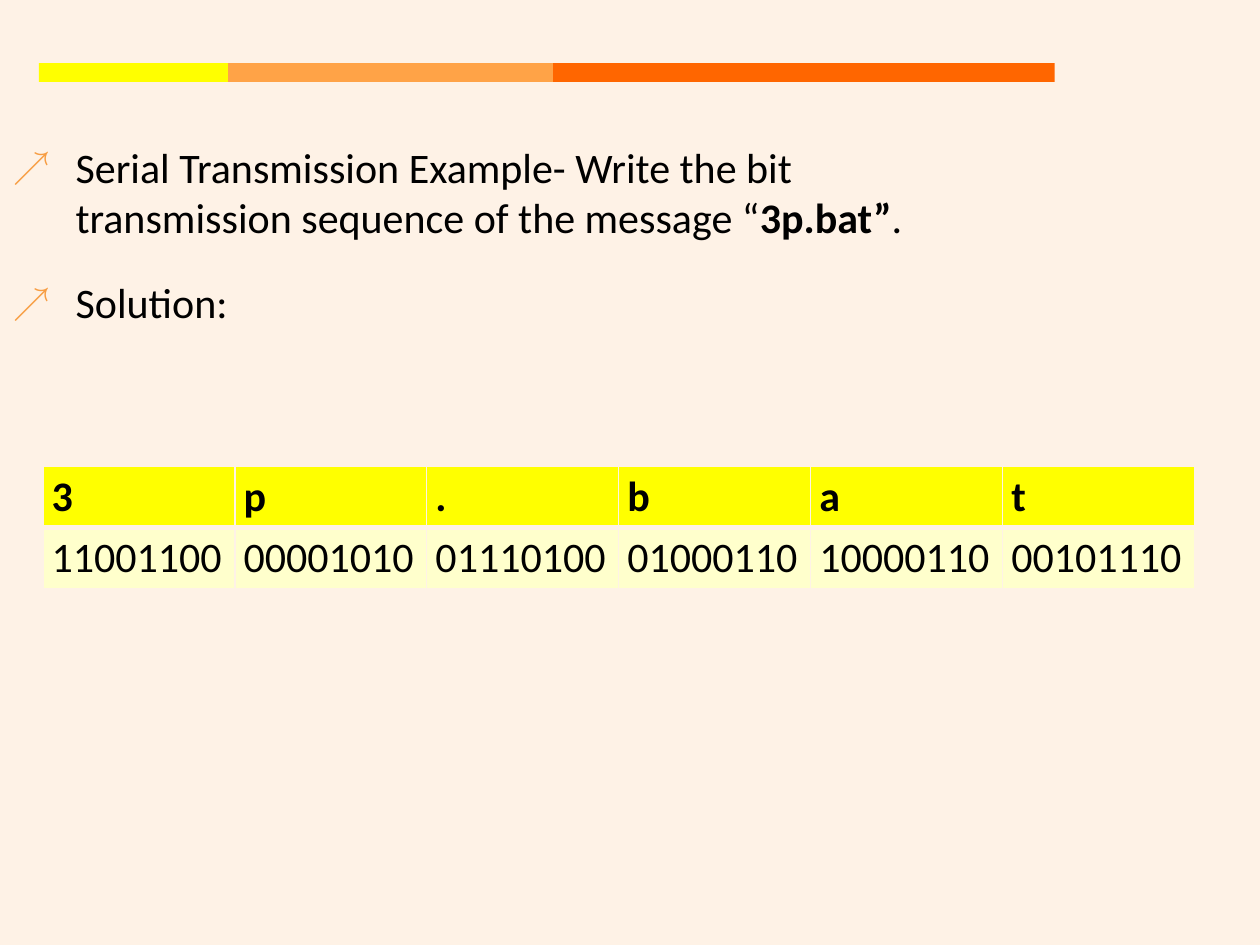
from dataclasses import dataclass

from lxml import etree
from pptx import Presentation
from pptx import util as u
from pptx.dml.color import RGBColor
from pptx.enum import shapes, text
from pptx.oxml.ns import qn


@dataclass(frozen=True)
class Theme:
    font: str = "Calibri"
    size: int = 24
    paragraph_gap: int = 20
    ink: str = "000000"
    background: str = "FEF2E6"
    bullet: str = "F79D43"
    yellow: str = "FFFF00"
    light_orange: str = "FFA347"
    orange: str = "FF6600"
    pale_yellow: str = "FFFFCC"


def paint(fill, color):
    fill.solid()
    fill.fore_color.rgb = RGBColor.from_string(color)


def add_text(paragraph, words, *, font, size, color, bold=False):
    run = paragraph.add_run()
    run.text = words
    run.font.name = font
    run.font.size = u.Pt(size)
    run.font.bold = bold
    run.font.color.rgb = RGBColor.from_string(color)


def add_xml_color(parent, color):
    etree.SubElement(parent, qn("a:srgbClr"), val=color)


class SlideBuilder:
    def __init__(self, slide, theme):
        self.slide = slide
        self.theme = theme
        paint(slide.background.fill, theme.background)

    def words(self, paragraph, content, bold=False):
        t = self.theme
        add_text(paragraph, content, font=t.font, size=t.size, color=t.ink, bold=bold)

    def band(self, left, top, width, height, color):
        block = self.slide.shapes.add_shape(
            shapes.MSO_SHAPE.RECTANGLE,
            *map(u.Inches, (left, top, width, height)))
        block.shadow.inherit = False
        paint(block.fill, color)
        block.line.fill.background()

    def bullet(self, paragraph):
        props = paragraph._p.get_or_add_pPr()
        props.set("marL", str(u.Inches(0.5)))
        props.set("indent", str(u.Inches(-0.5)))
        add_xml_color(etree.SubElement(props, qn("a:buClr")), self.theme.bullet)
        etree.SubElement(props, qn("a:buSzPct"), val="90000")
        etree.SubElement(props, qn("a:buChar"), char="↗")

    def bullet_list(self, left, top, width, height, items):
        body = self.slide.placeholders[1]
        body.left, body.top, body.width, body.height = map(
            u.Inches, (left, top, width, height))
        frame = body.text_frame
        frame.auto_size = text.MSO_AUTO_SIZE.NONE
        frame.vertical_anchor = text.MSO_ANCHOR.TOP
        for index, pieces in enumerate(items):
            paragraph = frame.add_paragraph() if index else frame.paragraphs[0]
            paragraph.space_before = u.Pt(self.theme.paragraph_gap)
            self.bullet(paragraph)
            for content, bold in pieces:
                self.words(paragraph, content, bold)

    def cell_borders(self, cell, bottom):
        props = cell._tc.get_or_add_tcPr()
        for side, points in (("L", 1), ("R", 1), ("T", 1), ("B", bottom)):
            line = etree.SubElement(props, qn(f"a:ln{side}"), w=str(u.Pt(points)))
            add_xml_color(etree.SubElement(line, qn("a:solidFill")),
                          self.theme.background)

    def code_table(self, left, top, width, row_heights, rows):
        frame = self.slide.shapes.add_table(
            len(rows), len(rows[0]),
            *map(u.Inches, (left, top, width, sum(row_heights))))
        table = frame.table
        for r, (height, values) in enumerate(zip(row_heights, rows)):
            table.rows[r].height = u.Inches(height)
            header = r == 0
            for c, value in enumerate(values):
                cell = table.cell(r, c)
                cell.margin_left = cell.margin_right = u.Inches(0.07)
                cell.margin_top = cell.margin_bottom = u.Inches(0.04)
                self.cell_borders(cell, bottom=3 if header else 1)
                paint(cell.fill, self.theme.yellow if header
                      else self.theme.pale_yellow)
                self.words(cell.text_frame.paragraphs[0], value, bold=header)


def main():
    deck = Presentation()
    deck.slide_width, deck.slide_height = u.Inches(10), u.Inches(7.5)
    slide = deck.slides.add_slide(deck.slide_layouts[1])
    heading = slide.shapes.title._element
    heading.getparent().remove(heading)
    theme = Theme()
    builder = SlideBuilder(slide, theme)

    # Three-colour band along the top
    band_left = 0.31
    for width, color in ((1.5, theme.yellow), (2.58, theme.light_orange),
                         (3.98, theme.orange)):
        builder.band(band_left, 0.5, width, 0.15, color)
        band_left += width

    # Exercise and solution heading
    exercise = [
        ("Serial Transmission Example- Write the bit transmission sequence "
         "of the message “", False),
        ("3p.bat”", True),
        (".", False),
    ]
    builder.bullet_list(0, 1.07, 7.74, 4.37, [exercise, [("Solution:", False)]])

    # Each character above its transmitted bits
    bit_sequences = {
        "3": "11001100", "p": "00001010", ".": "01110100",
        "b": "01000110", "a": "10000110", "t": "00101110",
    }
    builder.code_table(0.34, 3.7, 9.14, (0.46, 0.49),
                       [list(bit_sequences), list(bit_sequences.values())])

    deck.save("out.pptx")


if __name__ == "__main__":
    main()
